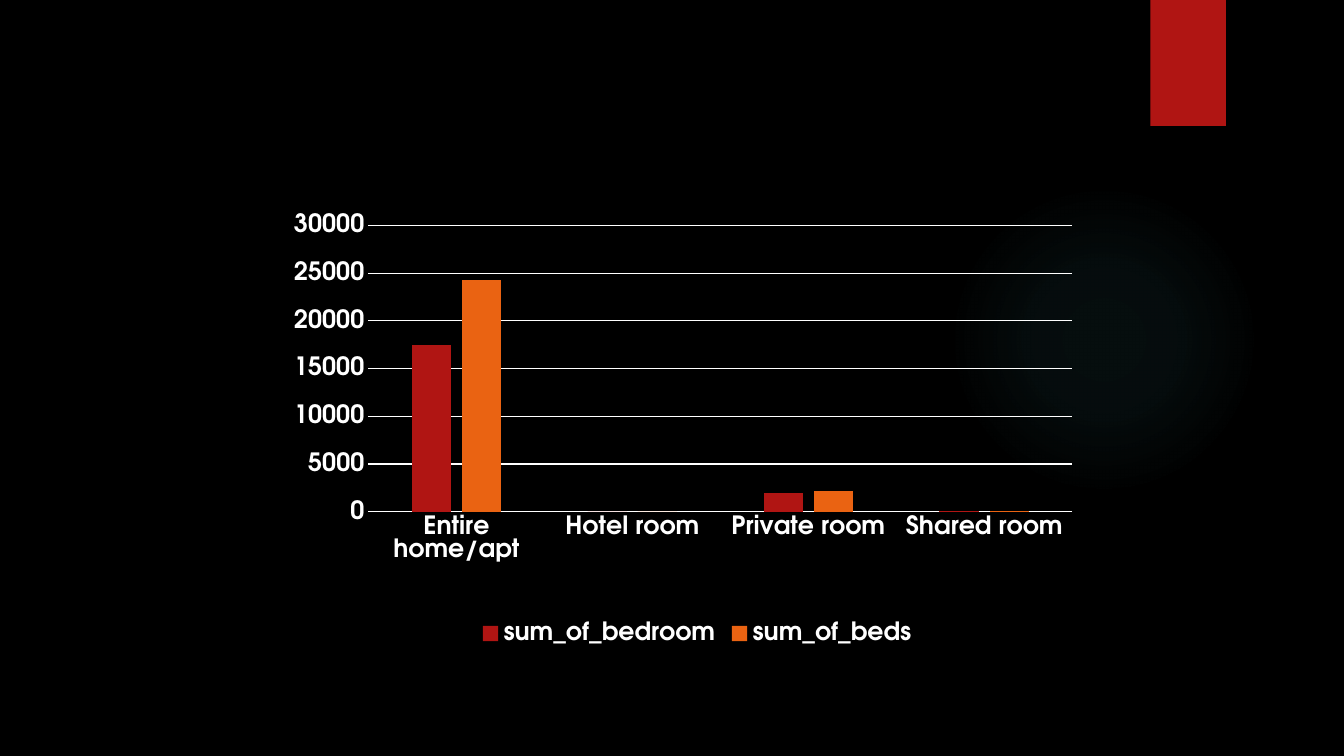
"""Build a slide with a clustered column chart of bedrooms and beds by room type."""
from lxml import etree
from pptx import Presentation
from pptx.chart.data import CategoryChartData
from pptx.dml.color import RGBColor
from pptx.enum.chart import XL_CHART_TYPE, XL_LEGEND_POSITION, XL_TICK_MARK
from pptx.enum.shapes import MSO_SHAPE
from pptx.oxml import parse_xml
from pptx.oxml.ns import nsdecls, qn
from pptx.util import Inches, Pt


def color(value):
    return RGBColor.from_string(value)


def paint(fill, value):
    fill.solid()
    fill.fore_color.rgb = color(value)


RED, ORANGE, WHITE = "B01513", "EA6312", "FFFFFF"

deck = Presentation()
deck.slide_width, deck.slide_height = Inches(13.33), Inches(7.5)
slide = deck.slides.add_slide(deck.slide_layouts[6])
paint(slide.background.fill, "000000")

glow = slide.shapes.add_shape(
    MSO_SHAPE.OVAL, Inches(9.41), Inches(1.83), Inches(3.08), Inches(3.08))
glow.shadow.inherit = False
glow.line.fill.background()
stops = "".join(
    f'<a:gs pos="{position * 1000}"><a:srgbClr val="50B9C1">'
    f'<a:alpha val="{opacity * 1000}"/></a:srgbClr></a:gs>'
    for position, opacity in [(0, 7), (36, 6), (69, 0)])
gradient = parse_xml(
    f'<a:gradFill {nsdecls("a")} rotWithShape="1"><a:gsLst>{stops}</a:gsLst>'
    '<a:path path="circle"><a:fillToRect l="50000" t="50000" r="50000" b="50000"/>'
    '</a:path></a:gradFill>')
glow.element.spPr.find(qn("a:prstGeom")).addnext(gradient)

ribbon = slide.shapes.add_shape(
    MSO_SHAPE.RECTANGLE, Inches(11.41), 0, Inches(0.75), Inches(1.25))
ribbon.shadow.inherit = False
ribbon.line.fill.background()
paint(ribbon.fill, RED)
ribbon.element.spPr.find(qn("a:effectLst")).append(parse_xml(
    f'<a:outerShdw {nsdecls("a")} blurRad="38100" dist="25400" dir="5400000" rotWithShape="0">'
    '<a:srgbClr val="000000"><a:alpha val="45000"/></a:srgbClr></a:outerShdw>'))

rooms = CategoryChartData()
rooms.categories = ["Entire home/apt", "Hotel room", "Private room", "Shared room"]
rooms.add_series("sum_of_bedroom", [17500, 0, 2000, 100])
rooms.add_series("sum_of_beds", [24300, 0, 2200, 100])
chart = slide.shapes.add_chart(
    XL_CHART_TYPE.COLUMN_CLUSTERED,
    Inches(2.88), Inches(1.83), Inches(8.07), Inches(4.62), rooms).chart

chart.has_title = False
chart.has_legend = True
chart.legend.position = XL_LEGEND_POSITION.BOTTOM
chart.legend.include_in_layout = False

columns = chart.plots[0]
columns.gap_width, columns.overlap = 219, -27
columns.vary_by_categories = False
for series, fill_color in zip(columns.series, [RED, ORANGE]):
    paint(series.format.fill, fill_color)
    series.invert_if_negative = False

room_axis, count_axis = chart.category_axis, chart.value_axis
for axis in (room_axis, count_axis):
    axis.major_tick_mark = axis.minor_tick_mark = XL_TICK_MARK.NONE
count_axis.minimum_scale, count_axis.maximum_scale = 0, 30000
count_axis.major_unit = 5000
count_axis.has_major_gridlines = True
count_axis.format.line.fill.background()
for rule in (room_axis.format.line, count_axis.major_gridlines.format.line):
    paint(rule.fill, WHITE)
    rule.width = Pt(0.75)

lettering = {"name": "TeX Gyre Adventor", "size": Pt(18), "bold": True}
for font in (chart.font, chart.legend.font,
             room_axis.tick_labels.font, count_axis.tick_labels.font):
    for attribute, value in lettering.items():
        setattr(font, attribute, value)
    font.color.rgb = color(WHITE)

plot_area = chart.element.find(".//" + qn("c:plotArea"))
for automatic in plot_area.findall(qn("c:layout")):
    plot_area.remove(automatic)
layout = etree.Element(qn("c:layout"))
manual = etree.SubElement(layout, qn("c:manualLayout"))
placement = {"layoutTarget": "inner", "xMode": "edge", "yMode": "edge",
             "x": 0.096, "y": 0.088, "w": 0.865, "h": 0.615}
for tag, value in placement.items():
    etree.SubElement(manual, qn(f"c:{tag}")).set("val", str(value))
plot_area.insert(0, layout)

deck.save("out.pptx")
